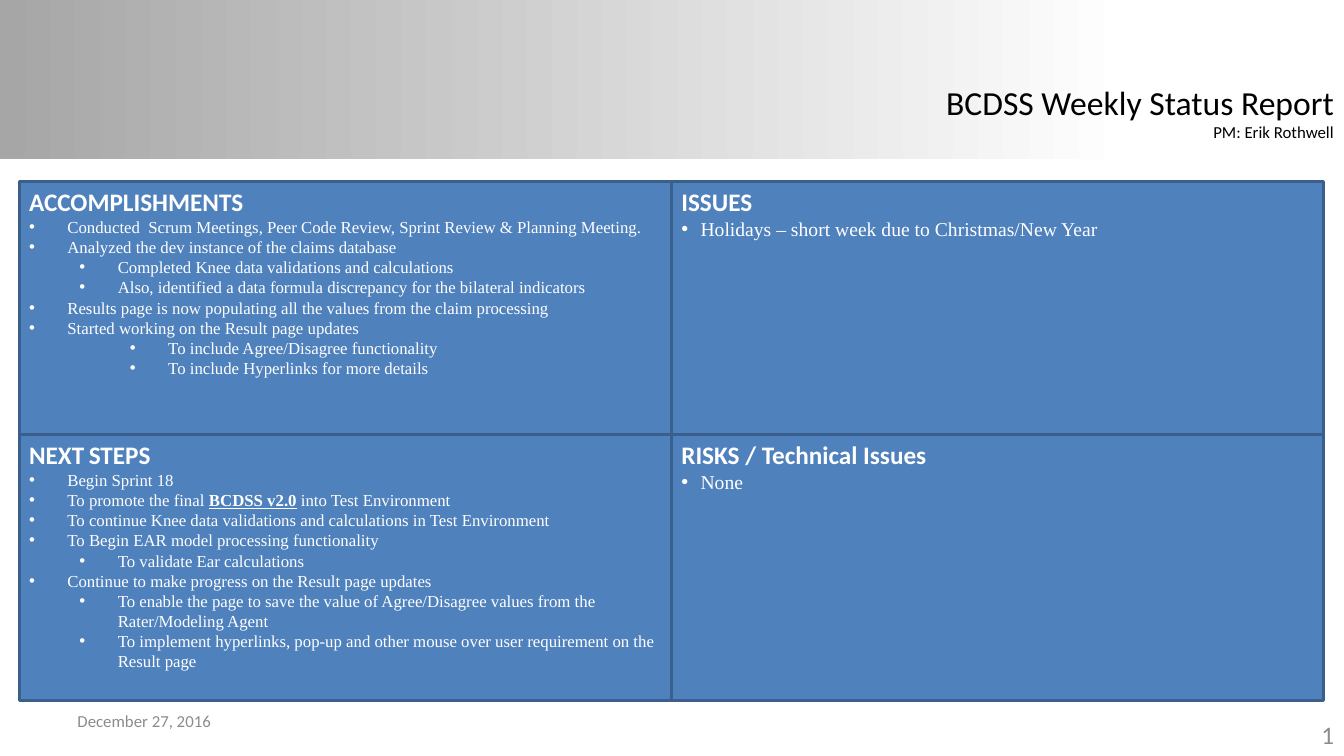
from dataclasses import dataclass
from typing import Optional

from lxml.etree import SubElement
from pptx import Presentation
from pptx.dml.color import RGBColor
from pptx.enum.shapes import MSO_SHAPE as Shape
from pptx.enum.text import MSO_ANCHOR as Anchor, MSO_AUTO_SIZE as AutoSize, PP_ALIGN as Align
from pptx.oxml.ns import qn
from pptx.util import Inches, Pt


@dataclass(frozen=True)
class Theme:
    heading_font: str = "Calibri"
    body_font: str = "Times New Roman"
    white: str = "FFFFFF"
    black: str = "000000"
    grey: str = "8C8C8C"
    band: str = "A6A6A6"
    panel: str = "4F81BD"
    border: str = "3A5F8C"
    title: int = 24
    heading: int = 18
    large: int = 14
    small: int = 12


@dataclass(frozen=True)
class Span:
    text: str
    strong: bool = False
    size: Optional[int] = None


@dataclass(frozen=True)
class Bullet:
    spans: tuple[Span, ...]
    level: int = 0


@dataclass(frozen=True)
class Panel:
    col: int
    row: int
    heading: tuple[Span, ...]
    bullets: tuple[Bullet, ...]
    size: int
    hang: float


def bullet(text: str, level: int = 0) -> Bullet:
    return Bullet((Span(text),), level)


THEME = Theme()
SLIDE_W, SLIDE_H = 13.33, 7.5
COL_X, COL_W = (0.19, 6.66), 6.47
ROW_Y, ROW_H = (1.8, 4.31), (2.51, 2.64)
LEVEL_STEP = 0.5
WIDE_HANG, NARROW_HANG = 0.38, 0.19

PANELS = (
    Panel(0, 0, (Span("ACCOMPLISHMENTS"),), (
        bullet("Conducted  Scrum Meetings, Peer Code Review, Sprint Review & Planning Meeting."),
        bullet("Analyzed the dev instance of the claims database"),
        bullet("Completed Knee data validations and calculations", 1),
        bullet("Also, identified a data formula discrepancy for the bilateral indicators", 1),
        bullet("Results page is now populating all the values from the claim processing"),
        bullet("Started working on the Result page updates"),
        bullet("To include Agree/Disagree functionality", 2),
        bullet("To include Hyperlinks for more details", 2),
    ), THEME.small, WIDE_HANG),
    Panel(0, 1, (Span("NEXT"), Span(" ", size=THEME.large), Span("STEPS")), (
        bullet("Begin Sprint 18"),
        Bullet((Span("To promote the final "), Span("BCDSS v2.0", strong=True),
                Span(" into Test Environment"))),
        bullet("To continue Knee data validations and calculations in Test Environment"),
        bullet("To Begin EAR model processing functionality"),
        bullet("To validate Ear calculations", 1),
        bullet("Continue to make progress on the Result page updates"),
        bullet("To enable the page to save the value of Agree/Disagree values from the "
               "Rater/Modeling Agent", 1),
        bullet("To implement hyperlinks, pop-up and other mouse over user requirement on the "
               "Result page", 1),
    ), THEME.small, WIDE_HANG),
    Panel(1, 0, (Span("ISSUES"),),
          (bullet("Holidays – short week due to Christmas/New Year"),), THEME.large, NARROW_HANG),
    Panel(1, 1, (Span("RISKS / Technical Issues"),),
          (bullet("None"),), THEME.large, NARROW_HANG),
)


def rgb(value: str) -> RGBColor:
    return RGBColor.from_string(value)


def add_run(p, text: str, size: int, color: str, font: str = THEME.heading_font,
            bold: bool = False, underline: bool = False) -> None:
    r = p.add_run()
    r.text = text
    r.font.name, r.font.size = font, Pt(size)
    r.font.bold, r.font.underline = bold, underline
    r.font.color.rgb = rgb(color)


def set_bullet(p, level: int, hang: float) -> None:
    p.level = level
    pPr = p._p.get_or_add_pPr()
    pPr.set("marL", str(Inches(hang + level * LEVEL_STEP)))
    pPr.set("indent", str(-Inches(hang)))
    SubElement(pPr, qn("a:buFont")).set("typeface", "Arial")
    SubElement(pPr, qn("a:buChar")).set("char", "•")


def add_band(s) -> None:
    band = s.shapes.add_shape(Shape.RECTANGLE, 0, 0, Inches(SLIDE_W), Inches(1.58))
    band.shadow.inherit = False
    band.line.fill.background()
    band.fill.gradient()
    band.fill.gradient_angle = 0
    for stop, color, position in zip(band.fill.gradient_stops,
                                     (THEME.band, THEME.white), (0, 0.84)):
        stop.color.rgb = rgb(color)
        stop.position = position


def place_title(s) -> None:
    title = s.shapes.title
    title.left, title.top = Inches(9.25), Inches(0.76)
    title.width, title.height = Inches(4.08), Inches(0.71)
    tf = title.text_frame
    tf.word_wrap = False
    tf.auto_size = AutoSize.SHAPE_TO_FIT_TEXT
    tf.vertical_anchor = Anchor.TOP
    lines = (("BCDSS Weekly Status Report", THEME.title), ("PM: Erik Rothwell", THEME.small))
    for i, (text, size) in enumerate(lines):
        p = tf.add_paragraph() if i else tf.paragraphs[0]
        p.alignment = Align.RIGHT
        add_run(p, text, size, THEME.black)


def add_panel(s, panel: Panel) -> None:
    box = s.shapes.add_shape(Shape.RECTANGLE, Inches(COL_X[panel.col]), Inches(ROW_Y[panel.row]),
                             Inches(COL_W), Inches(ROW_H[panel.row]))
    box.shadow.inherit = False
    box.fill.solid()
    box.fill.fore_color.rgb = rgb(THEME.panel)
    box.line.color.rgb = rgb(THEME.border)
    box.line.width = Pt(2)
    tf = box.text_frame
    tf.word_wrap = True
    tf.vertical_anchor = Anchor.TOP
    p = tf.paragraphs[0]
    p.alignment = Align.LEFT
    for span in panel.heading:
        add_run(p, span.text, span.size or THEME.heading, THEME.white, bold=True)
    for item in panel.bullets:
        p = tf.add_paragraph()
        p.alignment = Align.LEFT
        set_bullet(p, item.level, panel.hang)
        for span in item.spans:
            add_run(p, span.text, panel.size, THEME.white, THEME.body_font,
                    span.strong, span.strong)


def add_footer(s, text: str, left: float, top: float, size: int, align: Align) -> None:
    tf = s.shapes.add_textbox(Inches(left), Inches(top), Inches(3.11), Inches(0.4)).text_frame
    tf.word_wrap = True
    tf.vertical_anchor = Anchor.MIDDLE
    p = tf.paragraphs[0]
    p.alignment = align
    add_run(p, text, size, THEME.grey)


def main() -> None:
    prs = Presentation()
    prs.slide_width, prs.slide_height = Inches(SLIDE_W), Inches(SLIDE_H)
    s = prs.slides.add_slide(prs.slide_layouts[5])
    add_band(s)
    # The title placeholder comes first in the tree; lift it above the band.
    s.shapes._spTree.append(s.shapes.title._element)
    place_title(s)
    for panel in PANELS:
        add_panel(s, panel)
    add_footer(s, "December 27, 2016", 0.67, 6.95, THEME.small, Align.LEFT)
    add_footer(s, "1", 10.22, 7.09, THEME.heading, Align.RIGHT)
    prs.save("out.pptx")


if __name__ == "__main__":
    main()
